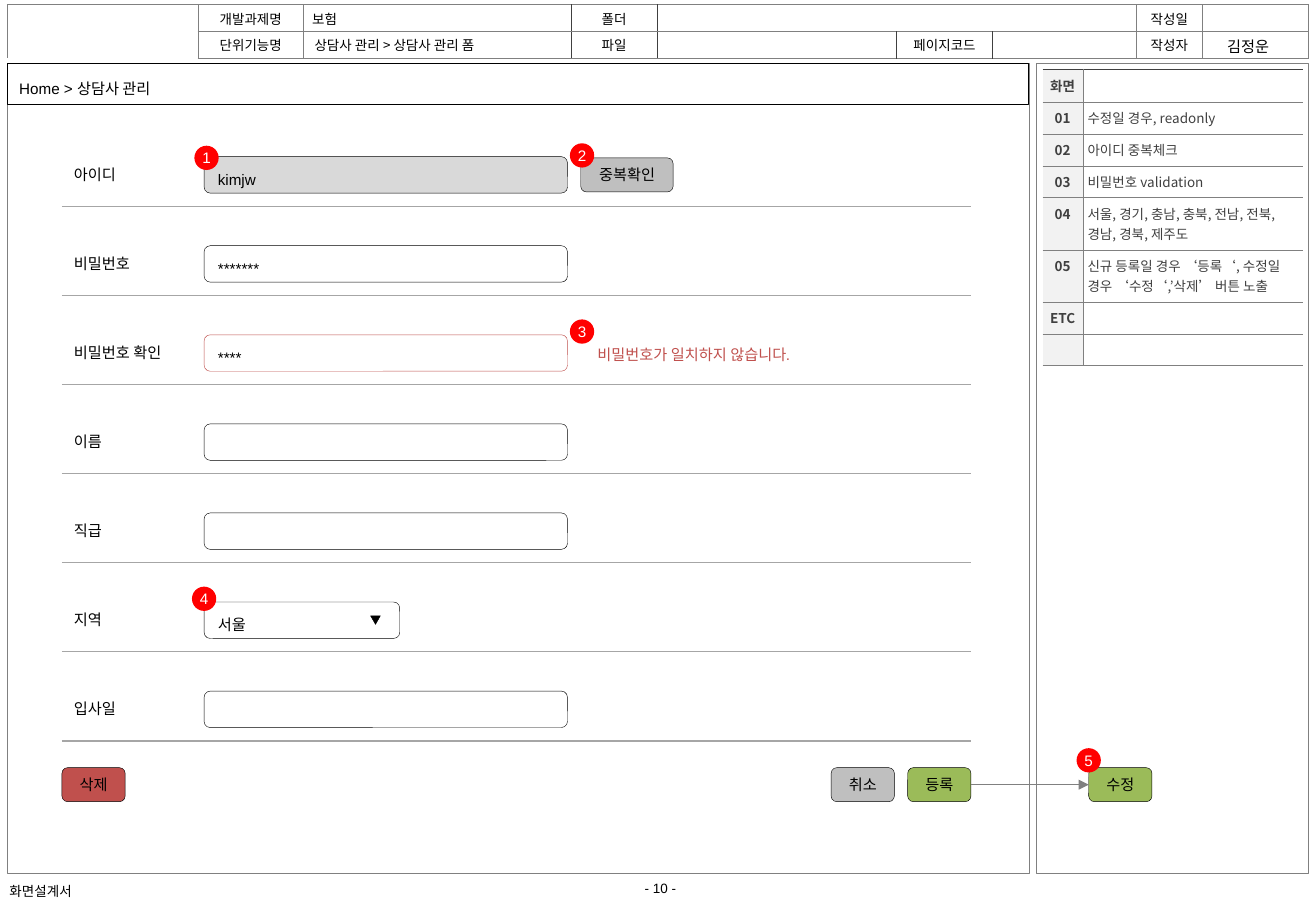
from lxml.etree import SubElement
from pptx import Presentation
from pptx.dml.color import RGBColor as RGB
from pptx.enum.shapes import MSO_CONNECTOR as CONN, MSO_SHAPE as SHAPE
from pptx.enum.text import MSO_ANCHOR as ANCHOR, PP_ALIGN as ALIGN
from pptx.oxml import parse_xml
from pptx.oxml.ns import nsdecls, qn
from pptx.util import Inches, Pt

# Content
HEADER = [
    ["", "개발과제명", "보험", "폴더", "", "", "", "작성일", ""],
    ["", "단위기능명", "", "파일", "", "페이지코드", "", "작성자", ""],
]
NOTES = [
    ("화면", ""),
    ("01", "수정일 경우, readonly"),
    ("02", "아이디 중복체크"),
    ("03", "비밀번호 validation"),
    ("04", "서울, 경기, 충남, 충북, 전남, 전북, 경남, 경북, 제주도"),
    ("05", "신규 등록일 경우 ‘등록‘, 수정일 경우 ‘수정‘,’삭제’ 버튼 노출"),
    ("ETC", ""),
    ("", ""),
]
# label, value, field width, fill, outline
FIELDS = [
    ("아이디", "kimjw", 2.99, "disabled", "ink"),
    ("비밀번호", "*******", 2.99, None, "ink"),
    ("비밀번호 확인", "****", 2.99, None, "red"),
    ("이름", "", 2.99, None, "ink"),
    ("직급", "", 2.99, None, "ink"),
    ("지역", "서울", 1.61, None, "ink"),
    ("입사일", "", 2.99, None, "ink"),
]
# label, left, top, width, fill
BUTTONS = [
    ("취소", 6.84, 6.32, 0.52, "button"),
    ("등록", 7.47, 6.32, 0.52, "green"),
    ("삭제", 0.51, 6.32, 0.52, "red"),
    ("중복확인", 4.78, 1.3, 0.76, "button"),
    ("수정", 8.96, 6.32, 0.52, "green"),
]
BADGES = [(1.6, 1.2), (4.69, 1.18), (4.69, 2.63), (1.58, 4.83), (8.86, 6.16)]
# text, box, format
CAPTIONS = [
    ("- 10 -", (5.18, 7.2, 0.51, 0.23), dict(size=8, align=ALIGN.CENTER, wrap=False)),
    ("화면설계서", (-0.02, 7.22, 0.76, 0.24), dict(size=8, wrap=False)),
    ("상담사 관리 > 상담사 관리 폼", (2.49, 0.26, 2.93, 0.24),
     dict(size=8, font="Noto Sans CJK KR")),
    ("비밀번호가 일치하지 않습니다.", (4.64, 2.79, 2.14, 0.25),
     dict(align=ALIGN.CENTER, color="red")),
    ("김정운", (9.98, 0.26, 0.58, 0.25), dict(align=ALIGN.CENTER, wrap=False)),
]

# Theme and grid
THEME = dict(ink="000000", white="FFFFFF", dark="404040", border="808080", rule="A6A6A6",
             disabled="D9D9D9", button="BFBFBF", head="F2F2F2", red="C0504D",
             green="9BBB59", badge="FF0000", small=8, body=9, latin="Arial",
             korean="Noto Sans CJK KR", hair=0.25, thin=0.5, line=0.75)
W, H = 10.83, 7.5
HEADER_COLS = [1.57, 0.87, 2.2, 0.71, 1.97, 0.79, 1.18, 0.55, 0.87]
FORM_L, FORM_R, FIELD_L = 0.51, 7.99, 1.68
RULE_TOP, PITCH = 1.7, 4.4 / 6

prs = Presentation()
prs.slide_width, prs.slide_height = Inches(W), Inches(H)
s = prs.slides.add_slide(prs.slide_layouts[6])


def color(name):
    return RGB.from_string(THEME[name])


def write(tf, text, size=THEME["body"], font=THEME["latin"], color_name="ink",
          bold=False, align=ALIGN.LEFT, spacing=None):
    p = tf.paragraphs[0]
    p.alignment = align
    if spacing:
        p.line_spacing = spacing
    if not text:
        SubElement(p._p, qn("a:endParaRPr")).set("sz", str(size * 100))
        return
    r = p.add_run()
    r.text = text
    for key, value in dict(size=Pt(size), name=font, bold=bold).items():
        setattr(r.font, key, value)
    r.font.color.rgb = color(color_name)
    SubElement(r._r.get_or_add_rPr(), qn("a:ea")).set("typeface", THEME["korean"])


def add_box(parent, kind, box, fill=None, line="ink", weight=THEME["hair"],
            text="", inset=None, **fmt):
    sp = parent.add_shape(kind, *map(Inches, box))
    sp.shadow.inherit = False
    if fill:
        sp.fill.solid()
        sp.fill.fore_color.rgb = color(fill)
    else:
        sp.fill.background()
    if line:
        sp.line.color.rgb = color(line)
        sp.line.width = Pt(weight)
    else:
        sp.line.fill.background()
    if text:
        tf = sp.text_frame
        tf.vertical_anchor = ANCHOR.MIDDLE
        if inset is not None:
            for side in ("left", "right", "top", "bottom"):
                setattr(tf, f"margin_{side}", Inches(inset))
        write(tf, text, **fmt)
    return sp


def add_label(parent, text, box, wrap=True, color="ink", **fmt):
    tf = parent.add_textbox(*map(Inches, box)).text_frame
    tf.word_wrap = wrap
    write(tf, text, color_name=color, **fmt)


def add_line(parent, start, end, name):
    c = parent.add_connector(CONN.STRAIGHT, *map(Inches, start + end))
    c.line.color.rgb = color(name)
    c.line.width = Pt(THEME["line"])
    SubElement(c._element.spPr, qn("a:effectLst"))
    return c


def add_grid(box, cols, rows):
    tbl = s.shapes.add_table(len(rows), len(cols), *map(Inches, box)).table
    tbl.first_row = tbl.horz_banding = False
    for col, width in zip(tbl.columns, cols):
        col.width = Inches(width)
    for row, height in zip(tbl.rows, rows):
        row.height = Inches(height)
    return tbl


def format_cell(cell, text, margins, borders, fill=None, **fmt):
    for side, value in zip(("left", "top", "right", "bottom"), margins):
        setattr(cell, f"margin_{side}", Inches(value))
    write(cell.text_frame, text, size=THEME["small"], font=THEME["korean"], **fmt)
    if fill:
        cell.fill.solid()
        cell.fill.fore_color.rgb = color(fill)
    else:
        cell.fill.background()
    for i, side in enumerate("LRTB"):
        name, weight = borders.get(side, (None, 0))
        paint = (f'<a:solidFill><a:srgbClr val="{THEME[name]}"/></a:solidFill>'
                 if name else "<a:noFill/>")
        cell._tc.get_or_add_tcPr().insert(i, parse_xml(
            f'<a:ln{side} {nsdecls("a")} w="{Pt(weight)}">{paint}</a:ln{side}>'))


# Page panels
for left, width in ((8.53, 2.24), (0.06, 8.41)):
    add_box(s.shapes, SHAPE.RECTANGLE, (left, 0.52, width, 6.67), "white", "border",
            THEME["thin"])


# Header table
def zone(r, c):
    return "logo" if c == 0 and r in (0, 1) else "file" if r == 0 and c in (4, 5, 6) else (r, c)


tbl = add_grid((0.06, 0.04, 10.71, 0.44), HEADER_COLS, [0.22] * 2)
for r, row in enumerate(HEADER):
    for c, text in enumerate(row):
        near = dict(L=(r, c - 1), R=(r, c + 1), T=(r - 1, c), B=(r + 1, c))
        edges = {side: ("border", THEME["thin"]) for side, at in near.items()
                 if zone(*at) != zone(r, c)}
        for side, edge in (("L", c), ("R", c + 1)):
            if side in edges and edge in (3, 4, 5, 6):
                edges[side] = ("dark", THEME["hair"])
        cell = tbl.cell(r, c)
        cell.vertical_anchor = ANCHOR.MIDDLE
        format_cell(cell, text, (0.07 if c == 2 else 0.04, 0.02, 0.04, 0.02), edges,
                    align=ALIGN.LEFT if c == 2 else ALIGN.CENTER)
tbl.cell(0, 0).merge(tbl.cell(1, 0))
tbl.cell(0, 4).merge(tbl.cell(0, 6))

# Notes table
tbl = add_grid((8.58, 0.57, 2.14, 2.27), [0.33, 1.81],
               [0.27] + [0.43 if key in ("04", "05") else 0.26 for key, _ in NOTES[1:]])
hairline = ("border", THEME["hair"])
for r, row in enumerate(NOTES):
    top = hairline if r else ("dark", THEME["thin"])
    for c, text in enumerate(row):
        format_cell(tbl.cell(r, c), text, (0.04 * c, 0.05, 0, 0.05),
                    {"L" if c else "R": hairline, "T": top, "B": hairline},
                    fill=None if c else "head", bold=c == 0, color_name="dark",
                    align=ALIGN.LEFT if c else ALIGN.CENTER)

# Breadcrumb
add_box(s.shapes, SHAPE.RECTANGLE, (0.06, 0.52, 8.4, 0.34), text="Home > 상담사 관리",
        spacing=1.5)

# Form rows
for i, (label, value, width, fill, outline) in enumerate(FIELDS):
    y = RULE_TOP + i * PITCH
    row = s.shapes.add_group_shape().shapes
    add_line(row, (FORM_L, y), (FORM_R, y), "rule")
    add_label(row, label, (FORM_L, y - 0.39, 1.09, 0.25))
    add_box(row, SHAPE.ROUNDED_RECTANGLE, (FIELD_L, y - 0.41, width, 0.3), fill, outline,
            text=value, spacing=1.5)

# Buttons, drop-down mark and captions
buttons = {text: add_box(s.shapes, SHAPE.ROUNDED_RECTANGLE, (x, y, w, 0.28), fill,
                         text=text, align=ALIGN.CENTER)
           for text, x, y, w, fill in BUTTONS}
add_box(s.shapes, SHAPE.ISOSCELES_TRIANGLE, (3.05, 5.07, 0.08, 0.07), "ink").rotation = 180
for text, box, fmt in CAPTIONS:
    add_label(s.shapes, text, box, **fmt)

# Arrow from register to edit
arrow = add_line(s.shapes, (FORM_R, 6.46), (8.96, 6.46), "border")
arrow.begin_connect(buttons["등록"], 3)
arrow.end_connect(buttons["수정"], 1)
SubElement(arrow.line._get_or_add_ln(), qn("a:tailEnd")).set("type", "triangle")

# Numbered badges
for n, (x, y) in enumerate(BADGES, 1):
    add_box(s.shapes, SHAPE.OVAL, (x, y, 0.2, 0.2), "badge", None, text=str(n), inset=0,
            color_name="white", align=ALIGN.CENTER)

prs.save("out.pptx")
